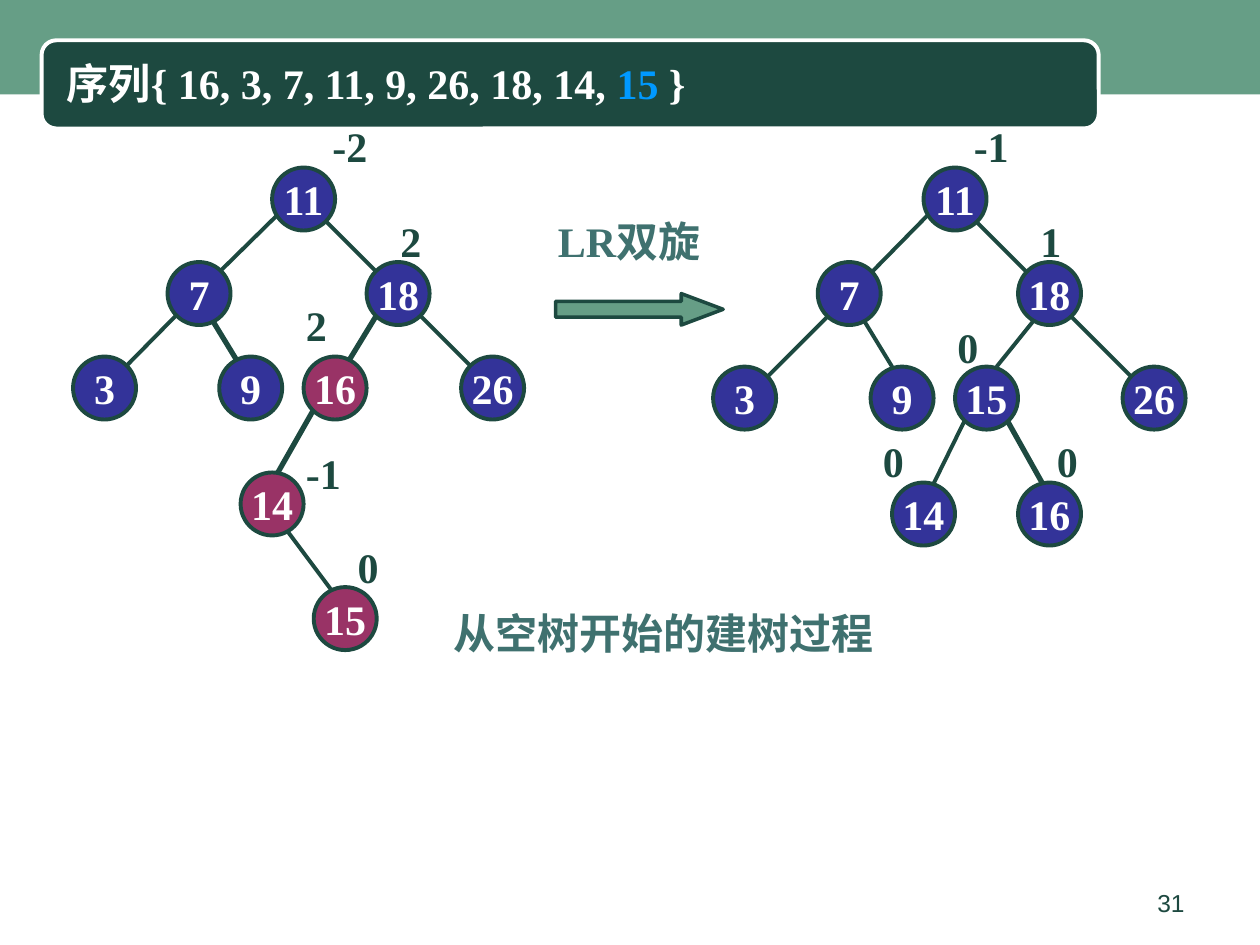
import dataclasses
import typing

import lxml.etree
import pptx
import pptx.dml.color
import pptx.enum.shapes
import pptx.enum.text
import pptx.oxml.ns
import pptx.util

Inches = pptx.util.Inches
Pt = pptx.util.Pt
Shapes = pptx.enum.shapes.MSO_SHAPE
Align = pptx.enum.text.PP_ALIGN
Anchor = pptx.enum.text.MSO_ANCHOR

COLORS = {
    "band": "669E86",
    "dark": "1D4940",
    "caption": "3F716F",
    "node": "333399",
    "changed": "993366",
    "inserted": "0099FF",
    "white": "FFFFFF",
}
SERIF = "Times New Roman"
SANS = "Arial"
NODE_SIZE = 0.5


@dataclasses.dataclass
class Node:
    key: str
    left: float
    top: float
    fill: str = "node"


@dataclasses.dataclass
class Edge:
    x1: float
    y1: float
    x2: float
    y2: float
    width: float = 2.25


@dataclasses.dataclass
class Balance:
    text: str
    left: float
    top: float


@dataclasses.dataclass
class Tree:
    edges: list[Edge]
    nodes: list[Node]
    balances: list[Balance]


BEFORE = Tree(
    edges=[
        Edge(2.33, 1.58, 1.74, 2.16),
        Edge(2.58, 1.75, 3.08, 2.25),
        Edge(1.49, 2.41, 0.83, 3.08),
        Edge(1.66, 2.5, 1.91, 2.91, 3),
        Edge(2.99, 2.5, 2.74, 2.91, 3),
        Edge(3.33, 2.5, 3.83, 3),
        Edge(2.49, 3.25, 2.16, 3.83, 3),
        Edge(2.24, 4.16, 2.74, 4.83),
    ],
    nodes=[
        Node("11", 2.16, 1.33),
        Node("7", 1.33, 2.08),
        Node("18", 2.91, 2.08),
        Node("3", 0.58, 2.83),
        Node("9", 1.74, 2.83),
        Node("16", 2.41, 2.83, "changed"),
        Node("26", 3.66, 2.83),
        Node("14", 1.91, 3.75, "changed"),
        Node("15", 2.49, 4.66, "changed"),
    ],
    balances=[
        Balance("-2", 2.54, 0.91),
        Balance("2", 3.08, 1.66),
        Balance("2", 2.33, 2.33),
        Balance("-1", 2.33, 3.5),
        Balance("0", 2.74, 4.25),
    ],
)

AFTER = Tree(
    edges=[
        Edge(7.41, 1.66, 6.83, 2.25),
        Edge(7.74, 1.75, 8.24, 2.25),
        Edge(6.58, 2.5, 6.08, 3),
        Edge(6.83, 2.5, 7.08, 2.91),
        Edge(8.24, 2.5, 7.91, 2.91),
        Edge(8.49, 2.5, 9.24, 3.25),
        Edge(7.66, 3.33, 7.33, 4),
        Edge(7.99, 3.33, 8.41, 4.08, 3),
    ],
    nodes=[
        Node("11", 7.33, 1.33),
        Node("7", 6.49, 2.08),
        Node("18", 8.08, 2.08),
        Node("3", 5.66, 2.91),
        Node("9", 6.91, 2.91),
        Node("15", 7.58, 2.91),
        Node("26", 8.91, 2.91),
        Node("14", 7.08, 3.83),
        Node("16", 8.08, 3.83),
    ],
    balances=[
        Balance("-1", 7.63, 0.91),
        Balance("1", 8.16, 1.66),
        Balance("0", 7.5, 2.5),
        Balance("0", 6.91, 3.41),
        Balance("0", 8.29, 3.41),
    ],
)


def rgb(name: str) -> pptx.dml.color.RGBColor:
    return pptx.dml.color.RGBColor.from_string(COLORS[name])


def format_text(paragraph, color: str, size: float = 24, font: str = SERIF,
                bold: bool = True, align=Align.LEFT) -> None:
    paragraph.alignment = align
    paragraph.font.name = font
    paragraph.font.size = Pt(size)
    paragraph.font.bold = bold
    paragraph.font.color.rgb = rgb(color)


def add_text(shapes, text: str, left: float, top: float, width: float, height: float,
             color: str, wrap: bool = True, **style: typing.Any) -> None:
    box = shapes.add_textbox(Inches(left), Inches(top), Inches(width), Inches(height))
    box.text_frame.word_wrap = wrap
    paragraph = box.text_frame.paragraphs[0]
    paragraph.text = text
    format_text(paragraph, color, **style)


def add_filled(shapes, kind, left: float, top: float, width: float, height: float,
               fill: str, line: str | None = None, line_width: float = 2.25):
    shape = shapes.add_shape(kind, Inches(left), Inches(top), Inches(width), Inches(height))
    shape.shadow.inherit = False
    shape.fill.solid()
    shape.fill.fore_color.rgb = rgb(fill)
    if line:
        shape.line.color.rgb = rgb(line)
        shape.line.width = Pt(line_width)
    else:
        shape.line.fill.background()
    return shape


def add_edge(shapes, edge: Edge) -> None:
    connector = shapes.add_connector(
        pptx.enum.shapes.MSO_CONNECTOR.STRAIGHT,
        Inches(edge.x1), Inches(edge.y1), Inches(edge.x2), Inches(edge.y2))
    connector.line.color.rgb = rgb("dark")
    connector.line.width = Pt(edge.width)
    lxml.etree.SubElement(connector.element.spPr, pptx.oxml.ns.qn("a:effectLst"))


def add_node(shapes, node: Node) -> None:
    circle = add_filled(shapes, Shapes.OVAL, node.left, node.top,
                        NODE_SIZE, NODE_SIZE, node.fill, "dark")
    circle.text_frame.word_wrap = False
    circle.text_frame.vertical_anchor = Anchor.MIDDLE
    paragraph = circle.text_frame.paragraphs[0]
    paragraph.text = node.key
    format_text(paragraph, "white", align=Align.CENTER)


def add_tree(slide, tree: Tree) -> None:
    shapes = slide.shapes.add_group_shape().shapes
    for edge in tree.edges:
        add_edge(shapes, edge)
    for node in tree.nodes:
        add_node(shapes, node)
    for balance in tree.balances:
        width = 0.24 + 0.12 * len(balance.text)
        add_text(shapes, balance.text, balance.left, balance.top, width, 0.5, "dark", wrap=False)


def add_header(slide) -> None:
    add_filled(slide.shapes, Shapes.RECTANGLE, 0, 0, 10, 0.75, "band")
    banner = add_filled(slide.shapes, Shapes.ROUNDED_RECTANGLE, 0.33, 0.32, 8.39, 0.7,
                        "dark", "white")
    title = slide.shapes.title
    title.left, title.top = Inches(0.43), Inches(0.41)
    title.width, title.height = Inches(5.95), Inches(0.5)
    title.text_frame.vertical_anchor = Anchor.TOP
    title.text_frame.auto_size = pptx.enum.text.MSO_AUTO_SIZE.NONE
    paragraph = title.text_frame.paragraphs[0]
    format_text(paragraph, "white")
    for text, color in [("序列{ 16, 3, 7, 11, 9, 26, 18, 14, ", "white"),
                        ("15", "inserted"), (" }", "white")]:
        run = paragraph.add_run()
        run.text = text
        run.font.color.rgb = rgb(color)
    banner.element.addnext(title.element)


def main() -> None:
    presentation = pptx.Presentation()
    presentation.slide_width = Inches(10)
    presentation.slide_height = Inches(7.5)
    slide = presentation.slides.add_slide(presentation.slide_layouts.get_by_name("Title Only"))
    add_header(slide)
    arrow = add_filled(slide.shapes, Shapes.RIGHT_ARROW, 4.41, 2.33, 1.33, 0.25,
                       "band", "dark", 2)
    arrow.adjustments[1] = 1.33
    add_text(slide.shapes, "LR双旋", 4.33, 1.66, 1.54, 0.5, "caption")
    add_tree(slide, BEFORE)
    add_tree(slide, AFTER)
    add_text(slide.shapes, "从空树开始的建树过程", 3.5, 4.77, 3.55, 0.5, "caption")
    add_text(slide.shapes, "31", 7.17, 7, 2.33, 0.35, "dark",
             size=14, font=SANS, bold=False, align=Align.RIGHT)
    presentation.save("out.pptx")


if __name__ == "__main__":
    main()
